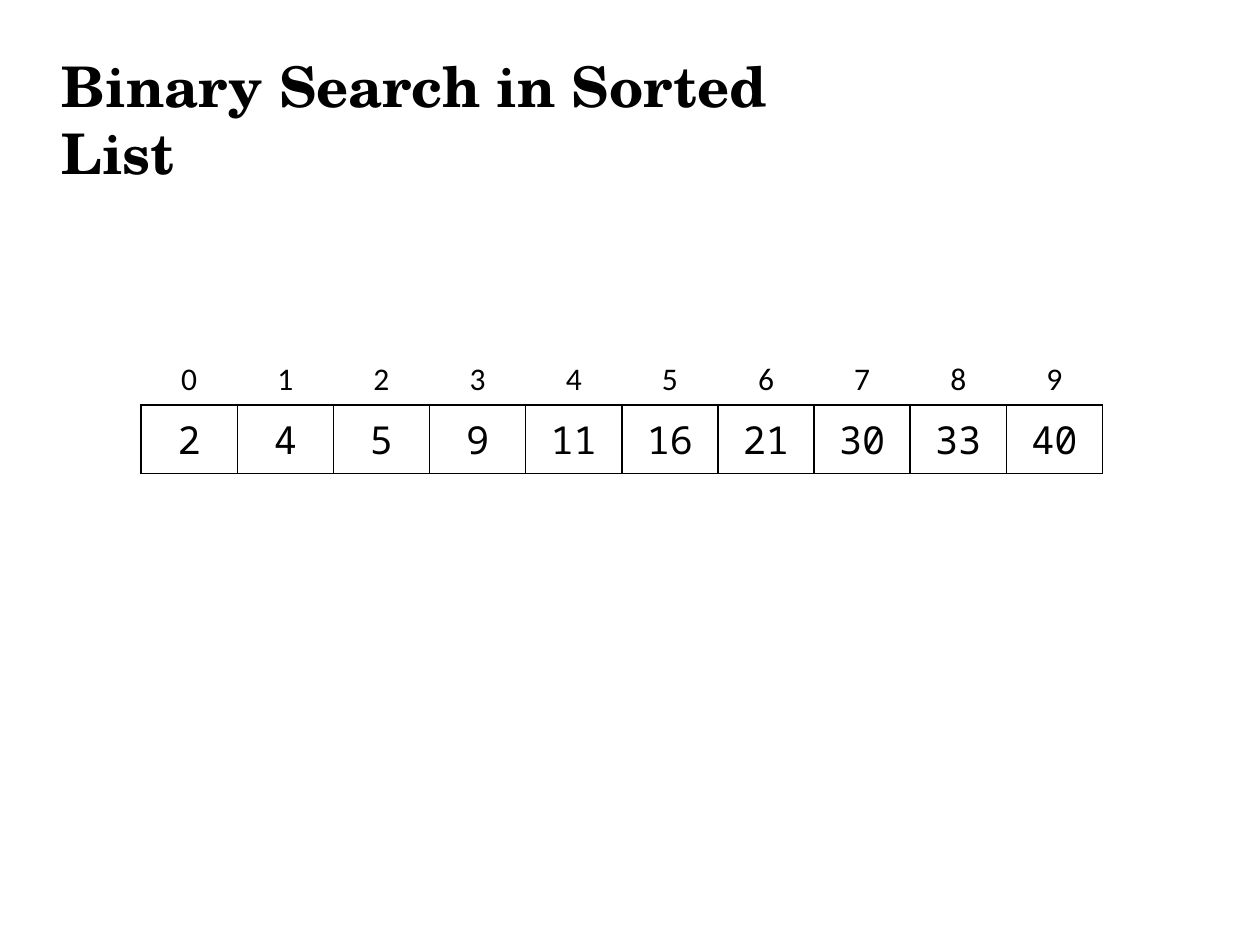
from dataclasses import dataclass

from lxml.etree import SubElement
from pptx import Presentation
from pptx.dml.color import RGBColor
from pptx.enum.text import MSO_ANCHOR as Anchor, MSO_AUTO_SIZE as AutoSize, PP_ALIGN as Align
from pptx.oxml.ns import qn
from pptx.util import Inches, Pt


@dataclass(frozen=True)
class Theme:
    ink: str = "000000"
    title_font: str = "TeX Gyre Schola"
    index_font: str = "Calibri"
    value_font: str = "Noto Sans Mono"
    title_size: int = 32
    index_size: int = 18
    value_size: int = 22
    border_width: int = 1


THEME = Theme()
VALUES = [2, 4, 5, 9, 11, 16, 21, 30, 33, 40]
TITLE_ONLY_LAYOUT = 5
SIDES = ("L", "R", "T", "B")


def format_text(text_frame, font_name, size, align, bold=False):
    for paragraph in text_frame.paragraphs:
        paragraph.alignment = align
        for run in paragraph.runs:
            run.font.name = font_name
            run.font.size = Pt(size)
            run.font.bold = bold
            run.font.color.rgb = RGBColor.from_string(THEME.ink)


def set_borders(cell, visible_sides):
    properties = cell._tc.get_or_add_tcPr()
    for side in SIDES:
        line = SubElement(properties, qn(f"a:ln{side}"), w=str(Pt(THEME.border_width)))
        if side in visible_sides:
            fill = SubElement(line, qn("a:solidFill"))
            SubElement(fill, qn("a:srgbClr"), val=THEME.ink)
        else:
            SubElement(line, qn("a:noFill"))


def add_title(slide, text):
    title = slide.shapes.title
    title.left, title.top = Inches(0.39), Inches(0.36)
    title.width, title.height = Inches(6.44), Inches(0.64)
    text_frame = title.text_frame
    text_frame.text = text
    text_frame.word_wrap = True
    text_frame.auto_size = AutoSize.SHAPE_TO_FIT_TEXT
    text_frame.vertical_anchor = Anchor.TOP
    format_text(text_frame, THEME.title_font, THEME.title_size, Align.LEFT, bold=True)


def fill_row(table, row, values, font_name, size, anchor, visible_sides):
    for column, value in enumerate(values):
        cell = table.cell(row, column)
        cell.text_frame.text = str(value)
        cell.vertical_anchor = anchor
        format_text(cell.text_frame, font_name, size, Align.CENTER)
        set_borders(cell, visible_sides)
        cell.fill.background()


def add_indexed_list(slide, values):
    frame = slide.shapes.add_table(
        2, len(values), Inches(1.12), Inches(2.67), Inches(7.63), Inches(1.09)
    )
    table = frame.table
    table.first_row = False
    table.horz_banding = False
    fill_row(table, 0, range(len(values)), THEME.index_font, THEME.index_size,
             Anchor.BOTTOM, ("B",))
    fill_row(table, 1, values, THEME.value_font, THEME.value_size,
             Anchor.MIDDLE, SIDES)


def main():
    presentation = Presentation()
    presentation.slide_width = Inches(10)
    presentation.slide_height = Inches(7.5)
    slide = presentation.slides.add_slide(presentation.slide_layouts[TITLE_ONLY_LAYOUT])
    add_title(slide, "Binary Search in Sorted List")
    add_indexed_list(slide, VALUES)
    presentation.save("out.pptx")


main()
